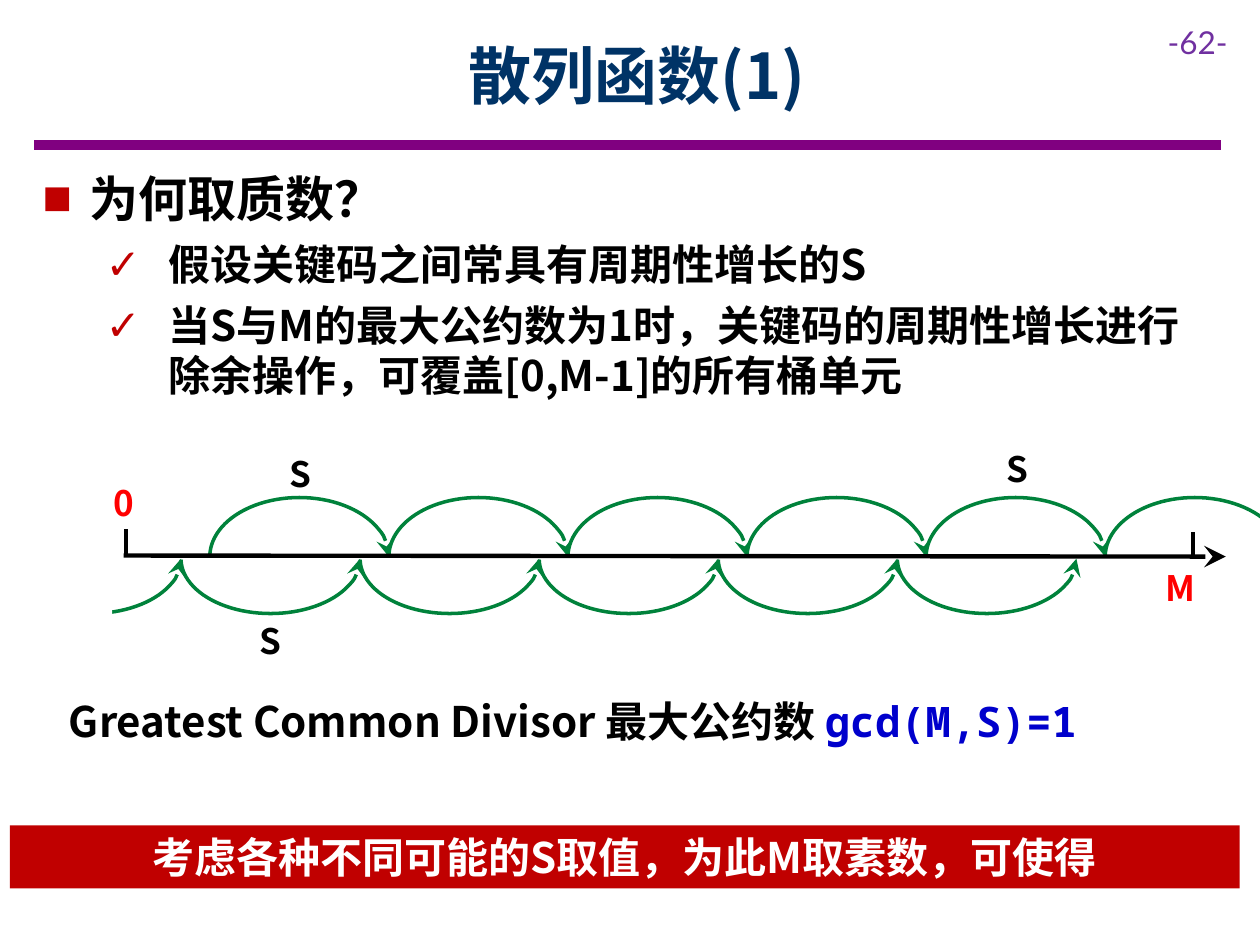
from dataclasses import dataclass
from lxml.etree import SubElement
from pptx import Presentation
from pptx.dml.color import RGBColor
from pptx.enum.shapes import MSO_CONNECTOR as Link, MSO_SHAPE as Kind
from pptx.enum.text import MSO_ANCHOR as Anchor, PP_ALIGN as Align
from pptx.oxml.ns import qn
from pptx.util import Cm, Pt

SANS, MONO, LATO = "Noto Sans CJK SC", "Noto Sans Mono", "Lato"
BLACK, WHITE, RED, CRIMSON = "000000", "FFFFFF", "FF0000", "C00000"
GREEN, NAVY, BLUE, PURPLE, VIOLET = "00823B", "003366", "0000CC", "800080", "7030A0"


@dataclass
class Label:
    text: str
    left: float
    top: float
    width: float
    color: str = BLACK


@dataclass
class Rule:
    x1: float
    y1: float
    x2: float
    y2: float
    color: str = BLACK
    weight: float = 2.5
    arrow: bool = False


@dataclass
class Item:
    text: str
    size: float
    mark: str
    left: float
    hang: float
    level: int


@dataclass
class Chain:
    left: float
    top: float
    height: float
    count: int
    flip: bool


def rgb(code: str) -> RGBColor:
    return RGBColor.from_string(code)


def style(run, size: float, color: str, face: str = SANS, bold: bool = True) -> None:
    font = run.font
    font.size, font.bold, font.name = Pt(size), bold, face
    font.color.rgb = rgb(color)
    for tag in ("a:ea", "a:cs"):
        SubElement(run._r.get_or_add_rPr(), qn(tag), typeface=face)


def stroke(shape, color: str, weight: float, arrow: bool) -> None:
    shape.line.color.rgb = rgb(color)
    shape.line.width = Pt(weight)
    if arrow:
        SubElement(shape.line._get_or_add_ln(), qn("a:tailEnd"),
                   type="stealth", w="lg", len="lg")


def add_rule(slide, rule: Rule) -> None:
    line = slide.shapes.add_connector(
        Link.STRAIGHT, Cm(rule.x1), Cm(rule.y1), Cm(rule.x2), Cm(rule.y2))
    stroke(line, rule.color, rule.weight, rule.arrow)
    SubElement(line._element.spPr, qn("a:effectLst"))


def add_box(slide, left: float, top: float, width: float, height: float, wrap: bool = True):
    box = slide.shapes.add_textbox(Cm(left), Cm(top), Cm(width), Cm(height))
    box.text_frame.word_wrap = wrap
    return box.text_frame


def add_bar(slide, left: float, top: float, width: float, height: float, color: str):
    bar = slide.shapes.add_shape(Kind.RECTANGLE, Cm(left), Cm(top), Cm(width), Cm(height))
    bar.shadow.inherit = False
    bar.fill.solid()
    bar.fill.fore_color.rgb = rgb(color)
    bar.line.fill.background()
    return bar.text_frame


def add_label(slide, label: Label) -> None:
    frame = add_box(slide, label.left, label.top, label.width, 1.12, wrap=False)
    frame.text = label.text
    style(frame.paragraphs[0].runs[0], 20, label.color)


def add_chain(slide, chain: Chain) -> None:
    for i in range(chain.count):
        arc = slide.shapes.add_shape(
            Kind.ARC, Cm(chain.left + i * STEP), Cm(chain.top), Cm(STEP), Cm(chain.height))
        arc.shadow.inherit = False
        arc.adjustments[0], arc.adjustments[1] = 108.36, 0
        arc.fill.background()
        stroke(arc, GREEN, 2, True)
        if chain.flip:
            arc._element.spPr.find(qn("a:xfrm")).set("flipV", "1")


def add_item(para, item: Item) -> None:
    para.text = item.text
    para.level = item.level
    para.space_after = Pt(6)
    props = para._p.get_or_add_pPr()
    props.set("marL", str(Cm(item.left)))
    props.set("indent", str(-Cm(item.hang)))
    tint = SubElement(props, qn("a:buClr"))
    SubElement(tint, qn("a:srgbClr"), val=CRIMSON)
    SubElement(props, qn("a:buFont"), typeface=MONO)
    SubElement(props, qn("a:buChar"), char=item.mark)
    style(para.runs[0], item.size, BLACK)


STEP = 3.61
CHAINS = [Chain(4.23, 10.03, 2.39, 6, False), Chain(0.04, 10.16, 2.21, 6, True)]
AXIS = [
    Rule(2.54, 11.2, 2.54, 10.67),
    Rule(2.49, 11.2, 24.71, 11.22, arrow=True),
    Rule(24.05, 11.25, 24.05, 10.72),
]
LABELS = [
    Label("S", 5.59, 8.99, 0.94),
    Label("S", 4.98, 12.37, 0.94),
    Label("S", 20.04, 8.89, 0.94),
    Label("0", 2.03, 9.58, 0.97, RED),
    Label("M", 23.24, 11.3, 1.24, RED),
]
ITEMS = [
    Item("为何取质数？", 28, "■", 0.95, 0.95, 0),
    Item("假设关键码之间常具有周期性增长的S", 24, "✓", 2.54, 1.27, 1),
    Item("当S与M的最大公约数为1时，关键码的周期性增长进行除余操作，"
         "可覆盖[0,M-1]的所有桶单元", 24, "✓", 2.54, 1.27, 1),
]


def main() -> None:
    deck = Presentation()
    deck.slide_width, deck.slide_height = Cm(25.4), Cm(19.05)
    slide = deck.slides.add_slide(deck.slide_layouts[6])

    # Header: rule, page number, title
    add_rule(slide, Rule(0.69, 2.92, 24.61, 2.92, PURPLE, 6))
    page = add_box(slide, 23.29, 0.33, 2.11, 1.02)
    page.text = "-62-"
    style(page.paragraphs[0].runs[0], 18, VIOLET, LATO, False)
    title = add_box(slide, 2.29, 0.23, 21.11, 2.54)
    title.vertical_anchor = Anchor.MIDDLE
    title.text = "散列函数(1)"
    title.paragraphs[0].alignment = Align.CENTER
    style(title.paragraphs[0].runs[0], 36, NAVY)

    # Bullets
    body = add_box(slide, 0.61, 3.28, 24.05, 4.95)
    for i, item in enumerate(ITEMS):
        add_item(body.add_paragraph() if i else body.paragraphs[0], item)

    # Number line with jumps of S; the white bar trims the first lower arc
    for chain in CHAINS:
        add_chain(slide, chain)
    for rule in AXIS:
        add_rule(slide, rule)
    add_bar(slide, 0, 11.25, 2.26, 1.6, WHITE)
    for label in LABELS:
        add_label(slide, label)

    # Divisor formula
    para = add_box(slide, 1.14, 13.89, 23.55, 1.27).paragraphs[0]
    for text, color, face in (("Greatest Common Divisor 最大公约数 ", BLACK, SANS),
                              ("gcd(M,S)=1", BLUE, MONO)):
        run = para.add_run()
        run.text = text
        style(run, 24, color, face)

    # Conclusion
    note = add_bar(slide, 0.2, 16.64, 24.79, 1.27, CRIMSON)
    note.word_wrap = True
    note.vertical_anchor = Anchor.TOP
    note.text = "考虑各种不同可能的S取值，为此M取素数，可使得"
    note.paragraphs[0].alignment = Align.CENTER
    style(note.paragraphs[0].runs[0], 24, WHITE)

    deck.save("out.pptx")


if __name__ == "__main__":
    main()
